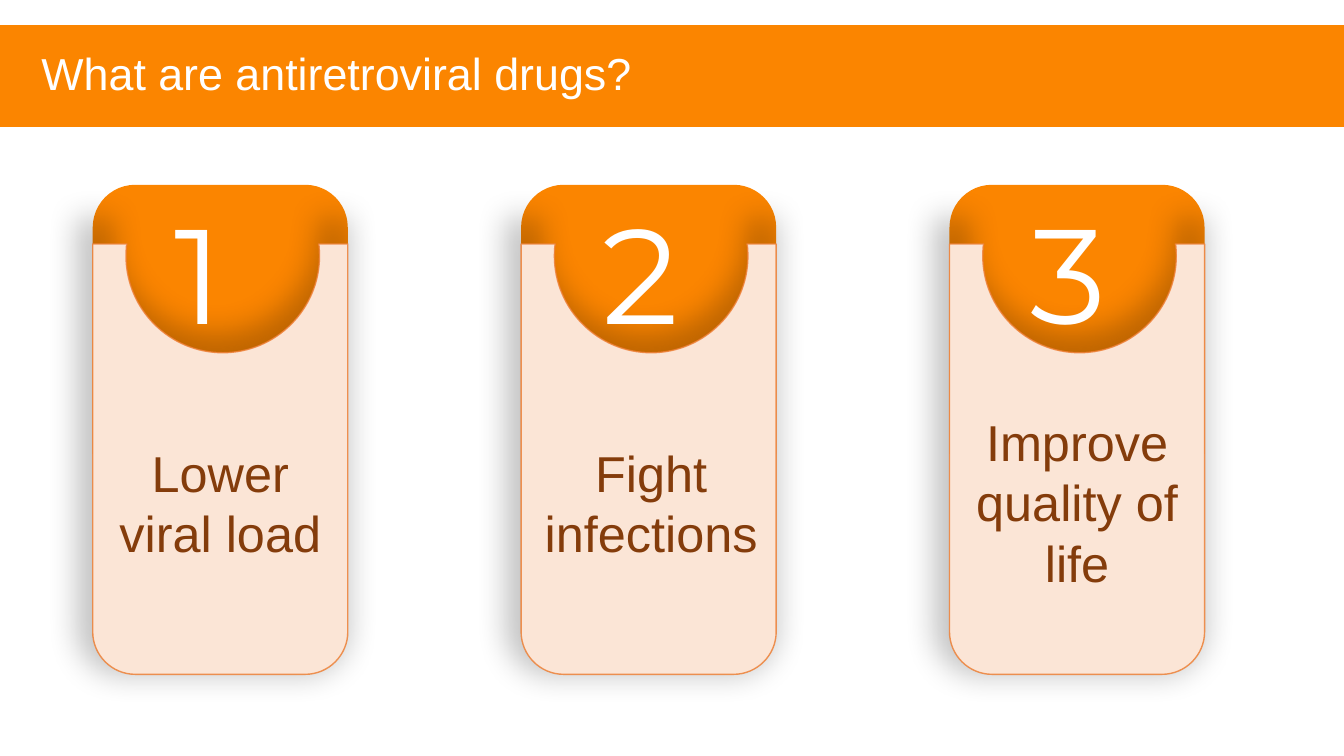
"""Builds a slide with three numbered cards on what antiretroviral drugs do."""
from dataclasses import dataclass

import lxml.etree
import pptx
import pptx.dml.color
import pptx.enum.shapes
import pptx.enum.text
import pptx.oxml
import pptx.oxml.ns
import pptx.util

Pt = pptx.util.Pt
qn = pptx.oxml.ns.qn
Align = pptx.enum.text.PP_ALIGN
Anchor = pptx.enum.text.MSO_ANCHOR
Shape = pptx.enum.shapes.MSO_SHAPE


@dataclass(frozen=True)
class Theme:
    orange: str = "FB8500"
    cream: str = "FBE5D6"
    outline: str = "ED7D31"
    brown: str = "843C0B"
    white: str = "FFFFFF"
    text_font: str = "Arial"
    number_font: str = "Montserrat"
    title_size: int = 32
    caption_size: int = 36
    number_size: int = 96


THEME = Theme()
CARD_LEFT, CARD_TOP, CARD_STEP, CARD_WIDTH = 66.24, 132, 306, 182.2
BODY_TOP, BODY_HEIGHT, CORNER = 174.3, 307.4, 30.4
NOTCH_X, NOTCH_Y, NOTCH_RADIUS = 92.9, 8.6, 69.1
CURVE = 0.55
CAPTION_MIDDLE = 359
CARDS = [
    ("Lower viral load", 162, 94, 91.1),
    ("Fight infections", 174, 94, 92.9),
    ("Improve quality of life", 178, 138, 91.1),
]


def color(value):
    return pptx.dml.color.RGBColor.from_string(value)


def paint(shape, fill):
    shape.shadow.inherit = False
    shape.fill.solid()
    shape.fill.fore_color.rgb = color(fill)
    shape.line.fill.background()


def add_block(shapes, kind, left, top, width, height):
    block = shapes.add_shape(kind, Pt(left), Pt(top), Pt(width), Pt(height))
    paint(block, THEME.orange)


def add_text(shapes, text, frame, size, ink, font=THEME.text_font,
             align=Align.LEFT, anchor=Anchor.TOP, wrap=True, spacing=None):
    box = shapes.add_textbox(*(Pt(length) for length in frame))
    box.text_frame.word_wrap = wrap
    box.text_frame.vertical_anchor = anchor
    para = box.text_frame.paragraphs[0]
    para.alignment = align
    para.line_spacing = spacing
    span = para.add_run()
    span.text = text
    span.font.name = font
    span.font.size = Pt(size)
    span.font.color.rgb = color(ink)


def add_corner_shadow(shape):
    effects = shape.shadow._element.find(qn("a:effectLst"))
    effects.append(pptx.oxml.parse_xml(
        f'<a:outerShdw {pptx.oxml.ns.nsdecls("a")} blurRad="{Pt(22)}" '
        'sx="106000" sy="106000" algn="br" rotWithShape="0">'
        '<a:srgbClr val="000000"><a:alpha val="23000"/></a:srgbClr></a:outerShdw>'))


def quarter(start, corner, end):
    """Return the two handles and the end of a quarter circle around a corner."""
    handles = [tuple(a + CURVE * (b - a) for a, b in zip(point, corner))
               for point in (start, end)]
    return [*handles, end]


def body_segments():
    """Return the card outline as lines of one point and curves of three."""
    west, east = NOTCH_X - NOTCH_RADIUS, NOTCH_X + NOTCH_RADIUS
    south = NOTCH_Y + NOTCH_RADIUS
    low, right = BODY_HEIGHT - CORNER, CARD_WIDTH
    return [
        [(west + 0.7, 0)],
        [(west + 0.3, 1.6)],
        [(west + 0.1, 3.9), (west, 6.2), (west, NOTCH_Y)],
        quarter((west, NOTCH_Y), (west, south), (NOTCH_X, south)),
        quarter((NOTCH_X, south), (east, south), (east, NOTCH_Y)),
        [(east, 6.2), (east - 0.1, 3.9), (east - 0.3, 1.6)],
        [(east - 0.7, 0)],
        [(right, 0)],
        [(right, low)],
        quarter((right, low), (right, BODY_HEIGHT), (right - CORNER, BODY_HEIGHT)),
        [(CORNER, BODY_HEIGHT)],
        quarter((CORNER, BODY_HEIGHT), (0, BODY_HEIGHT), (0, low)),
    ]


def bend(shape, segments):
    """Turn each run of three line points into one cubic curve."""
    lines = iter(list(shape._element.iter(qn("a:lnTo"))))
    for segment in segments:
        group = [next(lines) for _ in segment]
        if len(group) == 3:
            curve = lxml.etree.Element(qn("a:cubicBezTo"))
            group[0].addprevious(curve)
            for line in group:
                curve.append(line[0])
                line.getparent().remove(line)


def add_notched_body(shapes, left):
    segments = body_segments()
    points = [(round(x * 100), round(y * 100))
              for segment in segments for x, y in segment]
    builder = shapes.build_freeform(0, 0, scale=Pt(1) / 100)
    builder.add_line_segments(points, close=True)
    body = builder.convert_to_shape(Pt(left), Pt(BODY_TOP))
    bend(body, segments)
    paint(body, THEME.cream)
    body.line.color.rgb = color(THEME.outline)
    body.line.width = Pt(1)
    ink = body.line._ln.find(".//" + qn("a:srgbClr"))
    lxml.etree.SubElement(ink, qn("a:alpha"), val="81000")
    add_corner_shadow(body)


def add_card(page, index, caption, width, height, center):
    left = CARD_LEFT + index * CARD_STEP
    shapes = page.shapes.add_group_shape().shapes
    add_block(shapes, Shape.ROUND_2_SAME_RECTANGLE, left, CARD_TOP, CARD_WIDTH, 192.2)
    add_notched_body(shapes, left)
    add_text(shapes, str(index + 1), (left + 51.1, CARD_TOP, 79.2, 123.8),
             THEME.number_size, THEME.white, font=THEME.number_font, wrap=False)
    add_text(shapes, caption,
             (left + center - width / 2, CAPTION_MIDDLE - height / 2, width, height),
             THEME.caption_size, THEME.brown, align=Align.CENTER)


def main():
    deck = pptx.Presentation()
    deck.slide_width, deck.slide_height = Pt(960), Pt(540)
    page = deck.slides.add_slide(deck.slide_layouts[6])
    add_block(page.shapes, Shape.RECTANGLE, 0, 18, 960, 72.7)
    add_text(page.shapes, "What are antiretroviral drugs?", (22.5, 32.4, 915, 44),
             THEME.title_size, THEME.white, anchor=Anchor.MIDDLE, spacing=0.9)
    for index, card in enumerate(CARDS):
        add_card(page, index, *card)
    deck.save("out.pptx")


if __name__ == "__main__":
    main()
